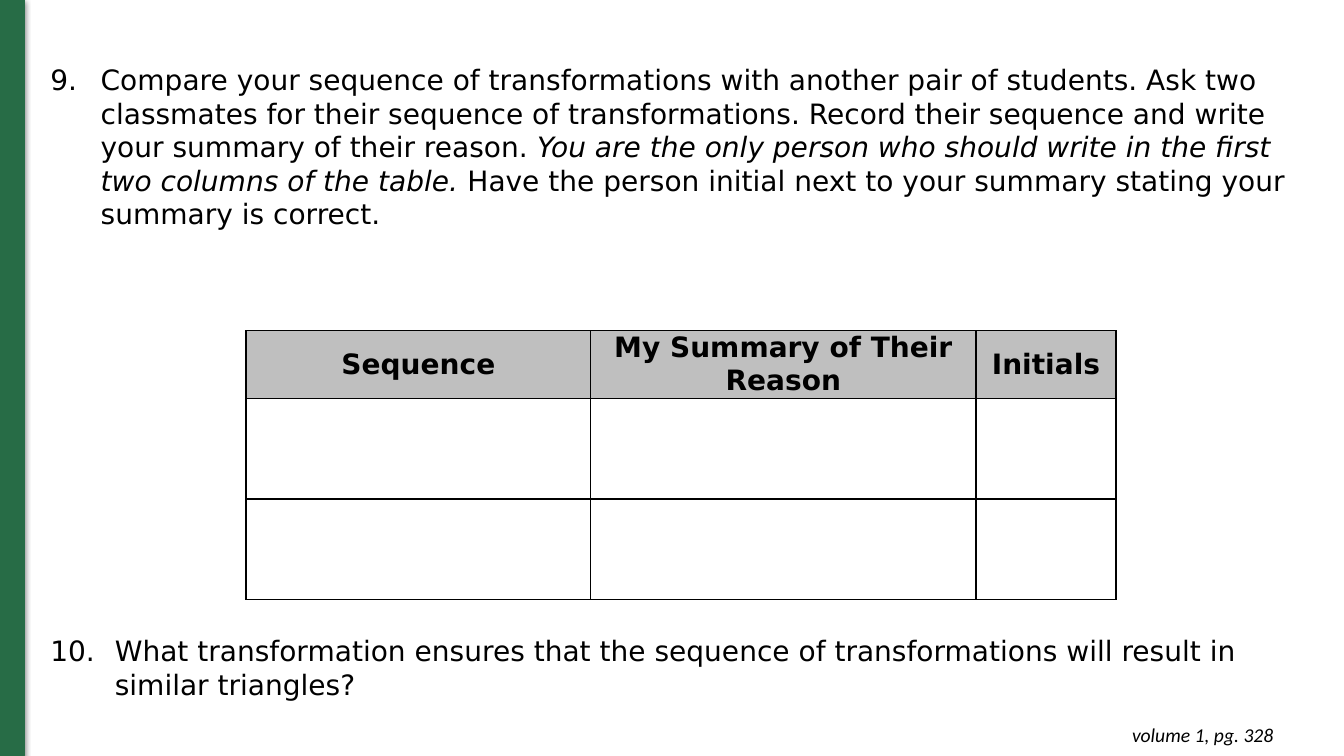
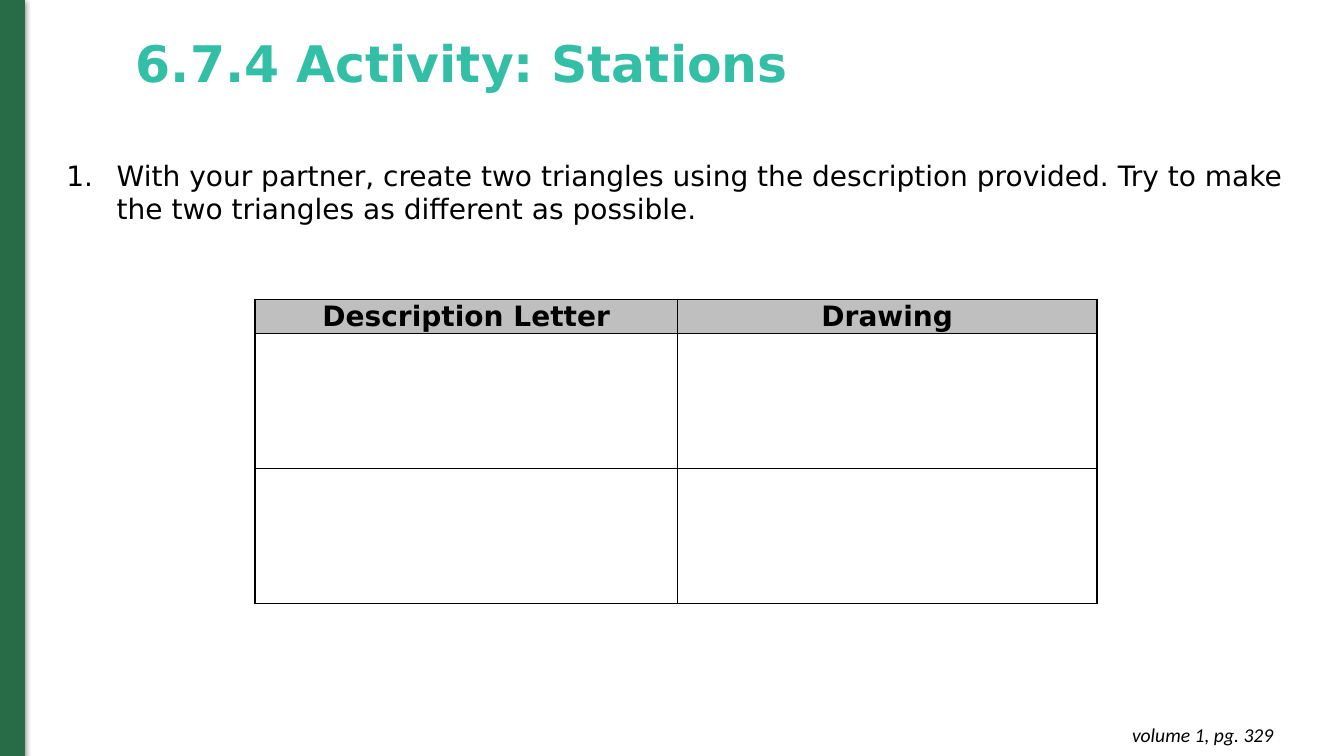
from pptx import Presentation
from pptx.dml.color import RGBColor
from pptx.enum.shapes import MSO_SHAPE
from pptx.enum.text import MSO_ANCHOR, PP_ALIGN
from pptx.oxml import parse_xml
from pptx.oxml.ns import nsdecls
from pptx.util import Inches, Pt

GREEN, TEAL, GREY, BLACK = "276C46", "33BEA6", "BFBFBF", "000000"
SANS = "DejaVu Sans"
SHADOW = (f'<a:effectLst {nsdecls("a")}><a:outerShdw blurRad="57150" dist="19050" '
          f'dir="5400000" rotWithShape="0"><a:srgbClr val="{BLACK}">'
          '<a:alpha val="50000"/></a:srgbClr></a:outerShdw></a:effectLst>')


def paint(color, code):
    color.rgb = RGBColor.from_string(code)


def write(frame, text, size=20, font=SANS, color=BLACK, bold=False, italic=None,
          align=PP_ALIGN.LEFT, anchor=MSO_ANCHOR.TOP, pad=0.05, num=None, indent=0.5):
    """Fill a frame with one paragraph; italic is the part of text to slant."""
    frame.word_wrap = True
    frame.vertical_anchor = anchor
    frame.margin_top = frame.margin_bottom = Inches(pad)
    par = frame.paragraphs[0]
    par.alignment = align
    if num:
        props = par._p.get_or_add_pPr()
        props.set("marL", str(Inches(indent)))
        props.set("indent", str(-Inches(indent)))
        props.append(parse_xml(
            f'<a:buAutoNum {nsdecls("a")} type="arabicPeriod" startAt="{num}"/>'))
    parts = text.partition(italic) if italic else (text,)
    for part in parts:
        if part:
            run = par.add_run()
            run.text = part
            run.font.name, run.font.size = font, Pt(size)
            run.font.bold, run.font.italic = bold, part == italic
            paint(run.font.color, color)
    return par


# Content of the two slides; boxes are left, top, width, height
pages = [
    dict(title=None, foot="volume 1, pg. 328",
         items=[
             (9, 0.5, (0.4, 0.57, 12.79, 1.8),
              "Compare your sequence of transformations with another pair of students. "
              "Ask two classmates for their sequence of transformations. Record their "
              "sequence and write your summary of their reason. You are the only person "
              "who should write in the first two columns of the table. Have the person "
              "initial next to your summary stating your summary is correct.",
              "You are the only person who should write in the first two columns "
              "of the table."),
             (10, 0.64, (0.4, 6.24, 12.79, 0.77),
              "What transformation ensures that the sequence of transformations will "
              "result in similar triangles?", None)],
         heads=["Sequence", "My Summary of Their Reason", "Initials"],
         spot=(2.44, 3.28), cols=[3.42, 3.82, 1.39], rows=[0.67, 1, 1], side=0.07),
    dict(title="6.7.4 Activity: Stations", foot="volume 1, pg. 329",
         items=[
             (1, 0.5, (0.56, 1.52, 12.43, 0.77),
              "With your partner, create two triangles using the description provided. "
              "Try to make the two triangles as different as possible.", None)],
         heads=["Description Letter", "Drawing"],
         spot=(2.53, 2.97), cols=[4.19, 4.16], rows=[0.34, 1.34, 1.34], side=0.04),
]

deck = Presentation()
deck.slide_width, deck.slide_height = Inches(13.33), Inches(7.5)

for page in pages:
    slide = deck.slides.add_slide(deck.slide_layouts[6])
    shapes = slide.shapes

    # Side band
    band = shapes.add_shape(MSO_SHAPE.RECTANGLE, 0, 0, Inches(0.24), Inches(7.5))
    band.fill.solid()
    paint(band.fill.fore_color, GREEN)
    paint(band.line.color, GREEN)
    band.line.width = Pt(0.75)
    band._element.spPr.append(parse_xml(SHADOW))

    # Title
    if page["title"]:
        box = shapes.add_textbox(Inches(1.25), Inches(-0.07), Inches(8.77), Inches(1.45))
        par = write(box.text_frame, page["title"], size=36, color=TEAL, bold=True,
                    anchor=MSO_ANCHOR.MIDDLE)
        par.line_spacing = 0.9

    # Numbered questions
    for num, indent, place, text, slant in page["items"]:
        box = shapes.add_textbox(*map(Inches, place))
        write(box.text_frame, text, italic=slant, num=num, indent=indent)

    # Footer
    box = shapes.add_textbox(Inches(9.85), Inches(7.07), Inches(2.88), Inches(0.44))
    write(box.text_frame, page["foot"], size=14, font="Calibri", italic=page["foot"],
          align=PP_ALIGN.RIGHT, pad=0.1)

    # Answer table
    cols, rows = page["cols"], page["rows"]
    left, top = page["spot"]
    table = shapes.add_table(len(rows), len(cols), Inches(left), Inches(top),
                             Inches(sum(cols)), Inches(sum(rows))).table
    table.first_row = table.horz_banding = False
    for col, width in zip(table.columns, cols):
        col.width = Inches(width)
    for row, height in zip(table.rows, rows):
        row.height = Inches(height)
    for cell in table.iter_cells():
        props = cell._tc.get_or_add_tcPr()
        for edge in "LRTB":
            props.append(parse_xml(
                f'<a:ln{edge} {nsdecls("a")} w="12700"><a:solidFill>'
                f'<a:srgbClr val="{BLACK}"/></a:solidFill></a:ln{edge}>'))
        cell.fill.background()
    for cell, head in zip(table.rows[0].cells, page["heads"]):
        cell.fill.solid()
        paint(cell.fill.fore_color, GREY)
        cell.margin_left = cell.margin_right = Inches(page["side"])
        cell.margin_top = cell.margin_bottom = 0
        cell.vertical_anchor = MSO_ANCHOR.MIDDLE
        write(cell.text_frame, head, bold=True, align=PP_ALIGN.CENTER,
              anchor=None, pad=0)

deck.save("out.pptx")
